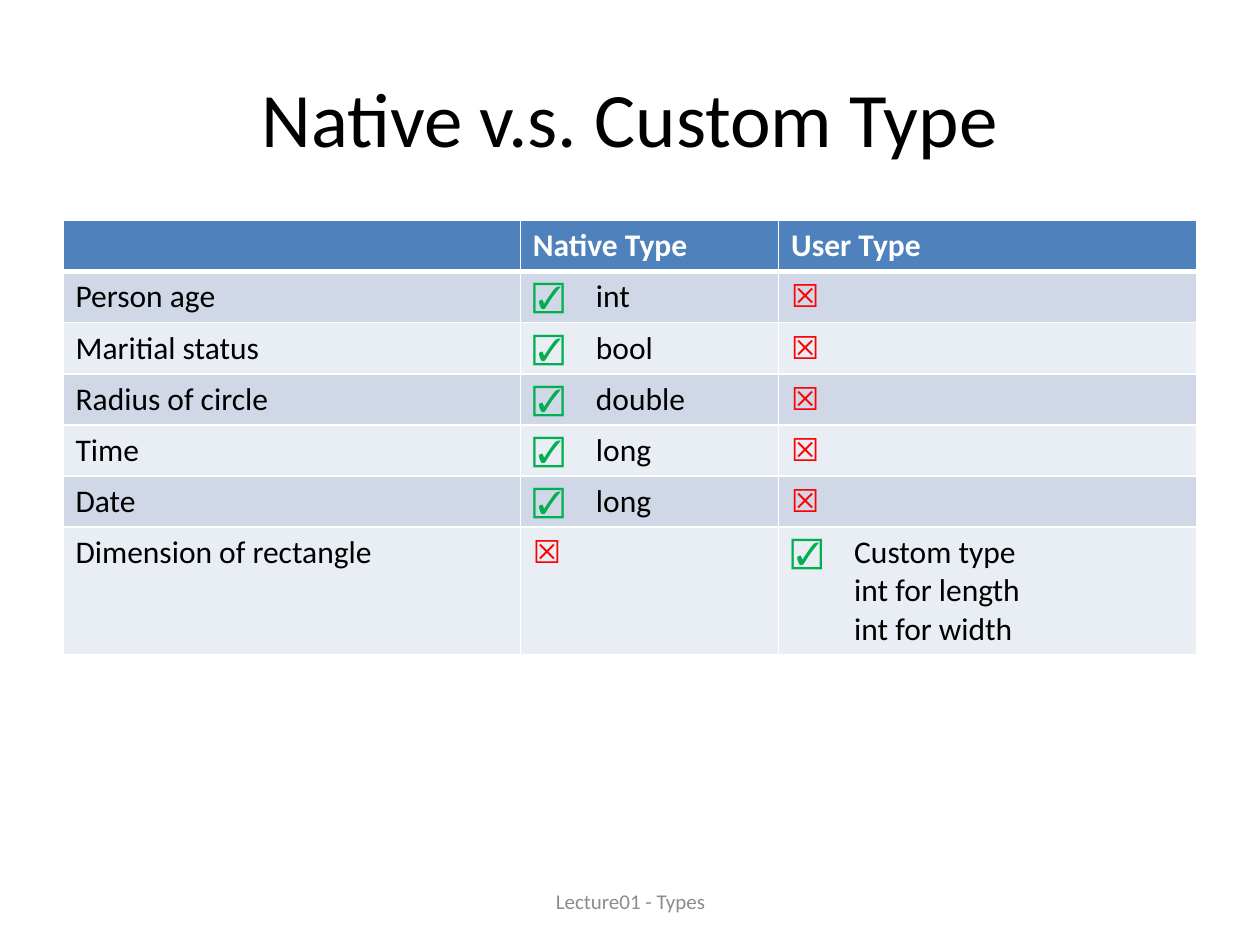
"""Build a slide that compares native and custom types in a table."""
from lxml import etree
from pptx import Presentation
from pptx import util as u
from pptx.dml.color import RGBColor
from pptx.enum import text
from pptx.oxml import ns

BLACK = RGBColor(0x00, 0x00, 0x00)
WHITE = RGBColor(0xFF, 0xFF, 0xFF)
GRAY = RGBColor(0x8C, 0x8C, 0x8C)
GREEN = RGBColor(0x00, 0xB0, 0x50)
RED = RGBColor(0xFF, 0x00, 0x00)
HEADER = RGBColor(0x4F, 0x81, 0xBD)
BANDS = [RGBColor(0xE9, 0xED, 0xF4), RGBColor(0xD0, 0xD8, 0xE8)]

YES, NO = "\u2611", "\u2612"
MARKS = {YES: GREEN, NO: RED}
COLUMNS = [3.63, 2.05, 3.32]
LAST_ROW = 1.0
NATIVE = [
    ("Person age", "int"),
    ("Maritial status", "bool"),
    ("Radius of circle", "double"),
    ("Time", "long"),
    ("Date", "long"),
]
ROWS = [
    [[""], ["Native Type"], ["User Type"]],
    *[[[label], [YES, "\t" + kind], [NO]] for label, kind in NATIVE],
    [["Dimension of rectangle"], [NO],
     [YES, "\tCustom type\n\tint for length\n\tint for width"]],
]


class Page:
    """Hold the style and the current slide."""

    font = "Calibri"

    def __init__(self, deck):
        self.slide = deck.slides.add_slide(deck.slide_layouts[5])

    def style(self, para, size, color, bold=False):
        """Set the font of a whole paragraph."""
        para.font.name, para.font.size = self.font, u.Pt(size)
        para.font.color.rgb, para.font.bold = color, bold

    def label(self, box, area, words, size, color):
        """Place a box and centre one line of text in it."""
        box.left, box.top, box.width, box.height = map(u.Inches, area)
        frame = box.text_frame
        frame.word_wrap = True
        frame.vertical_anchor = text.MSO_ANCHOR.MIDDLE
        para = frame.paragraphs[0]
        para.text = words
        para.alignment = text.PP_ALIGN.CENTER
        self.style(para, size, color)

    def title(self, area, words):
        """Fill the title placeholder."""
        self.label(self.slide.shapes.title, area, words, 44, BLACK)

    def footer(self, area, words):
        """Add the footer line."""
        box = self.slide.shapes.add_textbox(0, 0, 0, 0)
        self.label(box, area, words, 12, GRAY)

    def border(self, cell, side, width):
        """Draw one white cell border."""
        line = etree.SubElement(cell._tc.get_or_add_tcPr(), ns.qn("a:" + side),
                                w=str(u.Pt(width)))
        fill = etree.SubElement(line, ns.qn("a:solidFill"))
        etree.SubElement(fill, ns.qn("a:srgbClr"), val=str(WHITE))

    def cell(self, cell, spans, row):
        """Write and colour one table cell."""
        header = row == 0
        para = cell.text_frame.paragraphs[0]
        self.style(para, 18, WHITE if header else BLACK, header)
        for words in spans:
            for index, part in enumerate(words.split("\n")):
                if index:
                    para.add_line_break()
                span = para.add_run()
                span.text = part
                if words in MARKS:
                    span.font.color.rgb = MARKS[words]
        for side in ("lnL", "lnR", "lnT", "lnB"):
            thick = (header and side == "lnB") or (row == 1 and side == "lnT")
            self.border(cell, side, 3 if thick else 1)
        cell.fill.solid()
        cell.fill.fore_color.rgb = HEADER if header else BANDS[row % 2]

    def table(self, area, columns, rows):
        """Add the table, with a taller last row."""
        table = self.slide.shapes.add_table(
            len(rows), len(columns), *map(u.Inches, area)).table
        for column, width in zip(table.columns, columns):
            column.width = u.Inches(width)
        height = (area[3] - LAST_ROW) / (len(rows) - 1)
        for index, cells in enumerate(rows):
            last = index == len(rows) - 1
            table.rows[index].height = u.Inches(LAST_ROW if last else height)
            for column, spans in enumerate(cells):
                self.cell(table.cell(index, column), spans, index)


deck = Presentation()
deck.slide_width, deck.slide_height = u.Inches(10), u.Inches(7.5)
page = Page(deck)
page.title((0.5, 0.3, 9, 1.25), "Native v.s. Custom Type")
page.table((0.5, 1.75, 9, 3.43), COLUMNS, ROWS)
page.footer((3.42, 6.95, 3.17, 0.4), "Lecture01 - Types")
deck.save("out.pptx")
